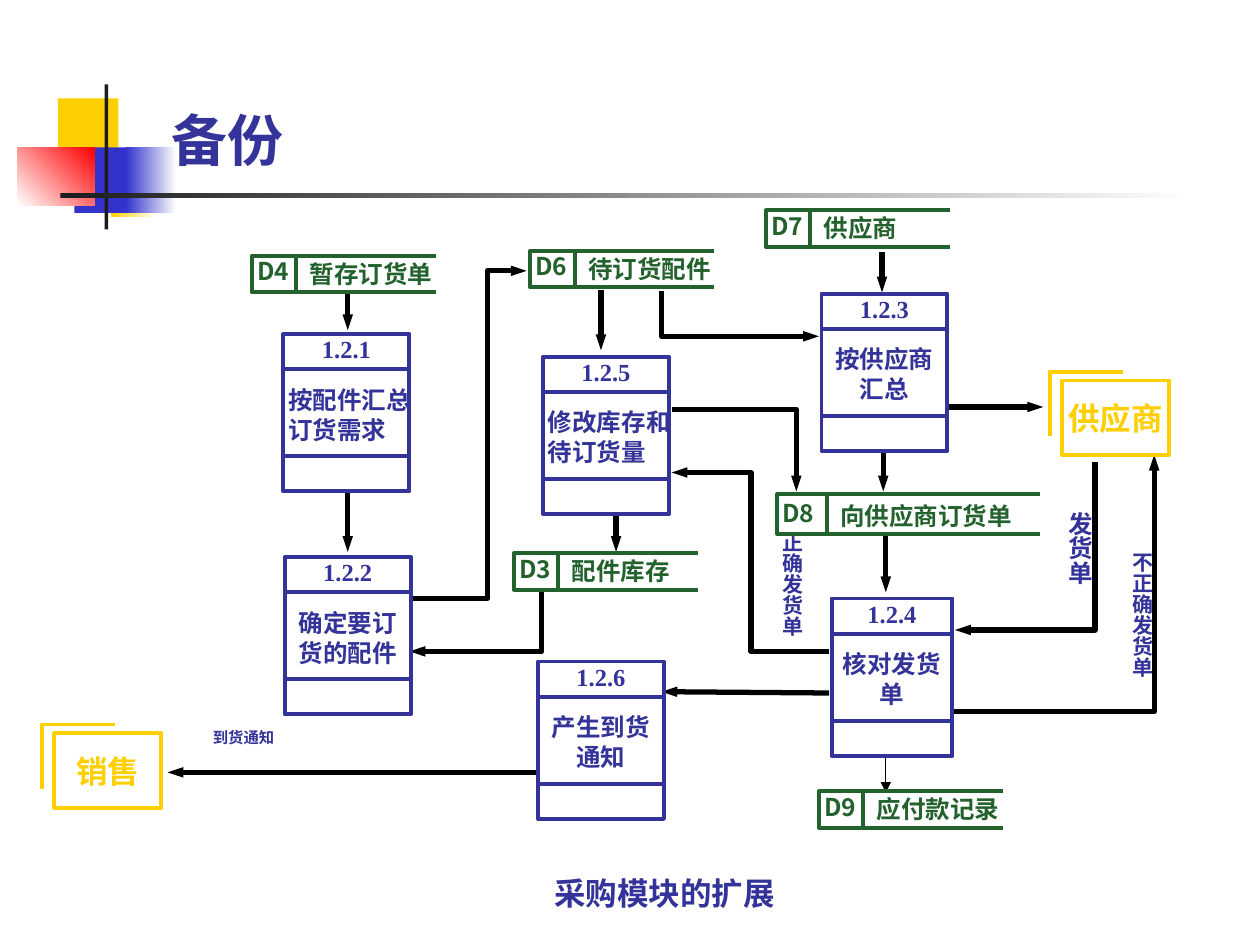
from lxml.etree import SubElement
from pptx import Presentation
from pptx.dml.color import RGBColor
from pptx.enum.shapes import MSO_CONNECTOR, MSO_SHAPE
from pptx.enum.text import MSO_ANCHOR, PP_ALIGN
from pptx.oxml.ns import qn
from pptx.util import Pt

PX = 9144  # 100 px to the inch
RECTANGLE, STRAIGHT = MSO_SHAPE.RECTANGLE, MSO_CONNECTOR.STRAIGHT
LEFT, CENTER = PP_ALIGN.LEFT, PP_ALIGN.CENTER
TOP, MIDDLE, BOTTOM = MSO_ANCHOR.TOP, MSO_ANCHOR.MIDDLE, MSO_ANCHOR.BOTTOM
SERIF, SANS = "Times New Roman", "Noto Sans CJK SC"
NAVY, GREEN, GOLD, BLUE = "333399", "23612D", "FFCF01", "3333CC"
WHITE, BLACK, DARK, RED = "FFFFFF", "000000", "1C1C1C", "FF0000"

PROCESSES = [
    (225, 265, 100, "1.2.1", "按配件汇总订货需求", True),
    (431, 283, 100, "1.2.5", "修改库存和待订货量", True),
    (226, 442, 100, "1.2.2", "确定要订货的配件", False),
    (427, 525, 100, "1.2.6", "产生到货通知", False),
    (652, 233, 100, "1.2.3", "按供应商汇总", False),
    (660, 475, 96, "1.2.4", "核对发货单", False),
]
ENTITIES = [(33, 575, "销售"), (833, 295, "供应商")]
STORES = [
    (200, 203, 146, 29, 35, "D4", "暂存订货单"),
    (421, 199, 146, 29, 35, "D6", "待订货配件"),
    (608, 167, 146, 29, 35, "D7", "供应商"),
    (408, 439, 146, 29, 35, "D3", "配件库存"),
    (617, 392, 208, 32, 39, "D8", "向供应商订货单"),
    (650, 628, 146, 29, 35, "D9", "应付款记录"),
]
FLOWS = [
    [(477, 230), (477, 278)],
    [(276, 230), (276, 262)],
    [(745, 323), (828, 323)],
    [(869, 367), (869, 500), (758, 500)],
    [(703, 422), (703, 470)],
    [(701, 358), (701, 390)],
    [(700, 200), (700, 232)],
    [(525, 231), (525, 267), (650, 267)],
    [(533, 325), (632, 325), (632, 390)],
    [(754, 565), (916, 565), (916, 361)],
    [(489, 406), (489, 438)],
    [(658, 517), (596, 517), (596, 375), (533, 375)],
    [(658, 550), (525, 549)],
    [(276, 390), (276, 438)],
    [(430, 470), (430, 517), (325, 517)],
    [(325, 475), (387, 475), (387, 215), (418, 215)],
    [(442, 613), (133, 613)],
]
THIN_FLOW = [(703, 597), (703, 629)]
VERTICAL_LABELS = [
    (845, 406, 24, 80, "发货单", 14),
    (893, 438, 24, 112, "不正确发货单", 12),
    (603, 422, 36, 96, "正确发货单", 12),
]


def color(value):
    return RGBColor.from_string(value)


def scaled(*lengths):
    return [length * PX for length in lengths]


def add_rect(page, box, fill, line=None, fade_to=None, angle=0):
    shape = page.shapes.add_shape(RECTANGLE, *scaled(*box))
    shape.shadow.inherit = False
    if fade_to:
        shape.fill.gradient()
        shape.fill.gradient_angle = angle
        for stop, value in zip(shape.fill.gradient_stops, (fill, fade_to)):
            stop.color.rgb = color(value)
    else:
        shape.fill.solid()
        shape.fill.fore_color.rgb = color(fill)
    if line:
        shape.line.color.rgb = color(line)
        shape.line.width = Pt(2.25)
    else:
        shape.line.fill.background()
    return shape


def write(shape, text, size, ink, font=SERIF, align=CENTER, anchor=TOP,
          margins=(0, 0), leading=1.22):
    frame = shape.text_frame
    frame.word_wrap = True
    frame.vertical_anchor = anchor
    frame.margin_left = frame.margin_right = margins[0] * PX
    frame.margin_top = frame.margin_bottom = margins[1] * PX
    frame.text = text
    para = frame.paragraphs[0]
    para.alignment = align
    para.line_spacing = Pt(round(size * leading, 1))
    span = para.runs[0]
    span.font.size, span.font.bold, span.font.name = Pt(size), True, font
    span.font.color.rgb = color(ink)
    for properties in shape.element.iter(qn("a:rPr")):
        SubElement(properties, qn("a:ea"), typeface=SANS)


def add_label(page, box, *args, **options):
    label = page.shapes.add_textbox(*scaled(*box))
    write(label, *args, **options)
    return label


def add_line(page, points, ink, width=2.25, head=None):
    """Draw a straight or bent line; head is the arrowhead width, if any."""
    points = [tuple(scaled(*point)) for point in points]
    if len(points) == 2:
        shape = page.shapes.add_connector(STRAIGHT, *points[0], *points[1])
    else:
        builder = page.shapes.build_freeform(*points[0], scale=1.0)
        builder.add_line_segments(points[1:], close=False)
        shape = builder.convert_to_shape()
        shape.fill.background()
        shape.shadow.inherit = False
    shape.line.color.rgb = color(ink)
    shape.line.width = Pt(width)
    if head:
        outline = shape.element.find(".//" + qn("a:ln"))
        SubElement(outline, qn("a:tailEnd"), type="triangle", w=head, len="med")
    if len(points) == 2:
        SubElement(shape.element.find(qn("p:spPr")), qn("a:effectLst"))


def add_decoration(page):
    add_rect(page, (46, 78, 48, 52), GOLD)
    add_rect(page, (88, 120, 36, 52), GOLD, fade_to=WHITE)
    add_rect(page, (59, 117, 46, 52), BLUE)
    add_rect(page, (100, 117, 40, 52), BLUE, fade_to=WHITE)
    add_rect(page, (14, 117, 61, 46), WHITE, fade_to=RED, angle=45)
    add_rect(page, (83, 67, 3, 115), DARK)
    add_rect(page, (48, 153, 900, 4), DARK, fade_to=WHITE)


def add_title(page):
    title = page.shapes.title
    title.left, title.top, title.width, title.height = scaled(126, 17, 852, 125)
    write(title, "备份", 32, NAVY, "Cabin", LEFT, BOTTOM, (10, 5))
    title.element.getparent().append(title.element)  # in front of the decoration


def add_process(page, left, top, width, number, name, wide):
    write(add_rect(page, (left, top, width, 125), WHITE, NAVY), number, 14, NAVY)
    for offset in (28, 97):
        add_line(page, [(left, top + offset), (left + width, top + offset)], NAVY)
    side, extra, align = (6, 25, LEFT) if wide else (2, 4, CENTER)
    add_label(page, (left - side, top + 35, width + extra, 57), name, 14, NAVY,
              SANS, align, margins=(10, 5))


def add_entity(page, left, top, name):
    box = add_rect(page, (left + 10, top + 7, 85, 59), WHITE, GOLD)
    write(box, name, 18, GOLD, anchor=MIDDLE)
    add_line(page, [(left, top + 51), (left, top), (left + 58, top)], GOLD)


def add_store(page, left, top, width, height, split, code, name):
    right, bottom, divider = left + width, top + height, left + split
    add_label(page, (left + 4, bottom - 29, 118, 26), code, 14, GREEN, SANS, LEFT)
    add_line(page, [(divider, top), (divider, bottom)], GREEN)
    add_line(page, [(right, top), (left, top), (left, bottom), (right, bottom)], GREEN)
    add_label(page, (divider + 1, bottom - 32, width - split + 22, 34), name, 14,
              GREEN, SANS, LEFT, margins=(10, 5))


def add_flows(page):
    for points in FLOWS:
        add_line(page, points, BLACK, 3, "sm")
    add_line(page, THIN_FLOW, BLACK, 0.75, "med")
    for *box, text, size in VERTICAL_LABELS:
        label = add_label(page, box, text, size, NAVY)
        label.element.find(".//" + qn("a:bodyPr")).set("vert", "eaVert")


def add_notice(page):
    notice = add_rect(page, (169, 581, 107, 16), WHITE)
    fill = notice.element.find(".//" + qn("a:srgbClr"))
    SubElement(fill, qn("a:alpha"), val="50000")
    write(notice, "到货通知", 8.8, NAVY, align=LEFT, leading=0.98)


def main():
    deck = Presentation()
    deck.slide_width, deck.slide_height = scaled(1000, 750)
    page = deck.slides.add_slide(deck.slide_layouts[5])
    add_decoration(page)
    add_title(page)
    add_notice(page)
    add_flows(page)
    write(add_rect(page, (391, 693, 273, 32), WHITE), "采购模块的扩展", 18, NAVY)
    for process in PROCESSES:
        add_process(page, *process)
    for entity in ENTITIES:
        add_entity(page, *entity)
    for store in STORES:
        add_store(page, *store)
    deck.save("out.pptx")


if __name__ == "__main__":
    main()
